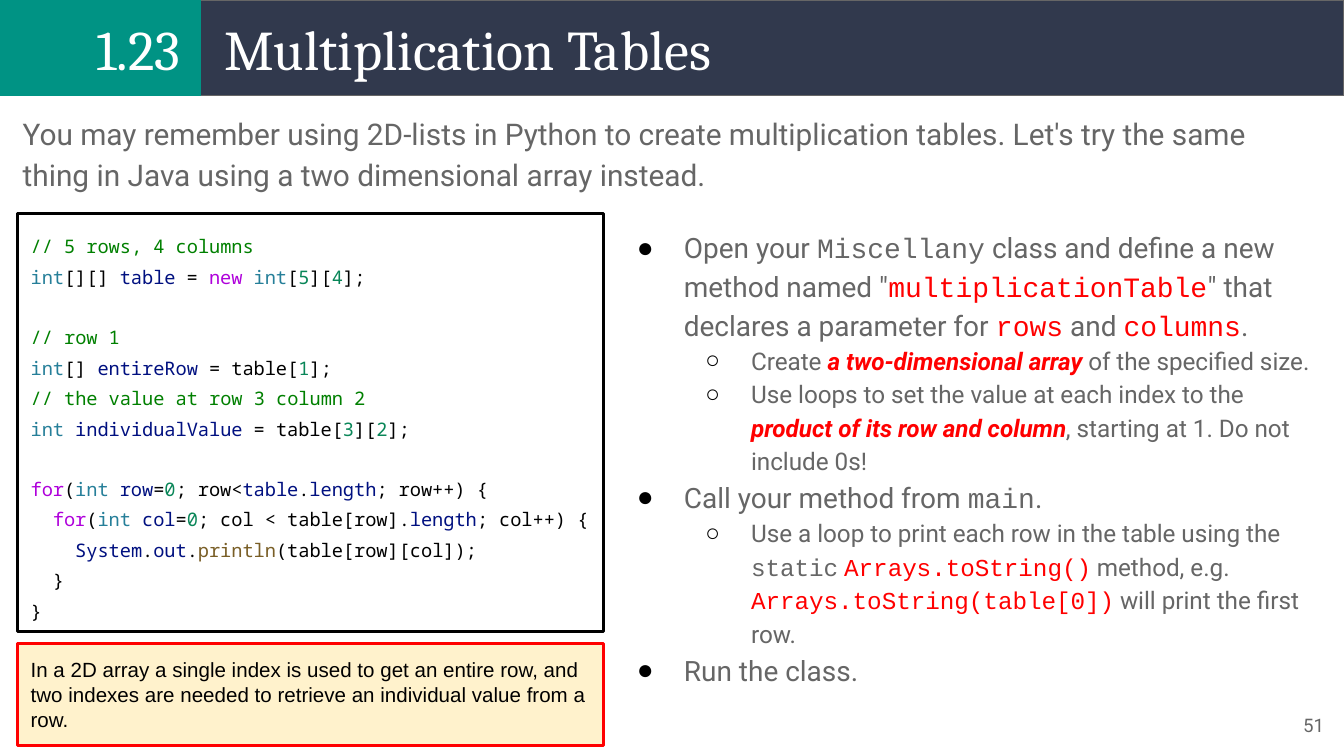
"""Build the Multiplication Tables lesson slide."""
from lxml.etree import SubElement
from pptx import Presentation
from pptx.dml.color import RGBColor
from pptx.enum.shapes import MSO_SHAPE
from pptx.enum.text import MSO_ANCHOR, PP_ALIGN
from pptx.oxml.ns import qn
from pptx.util import Inches, Pt

COLORS = {
    "navy": "31394D", "teal": "009384", "gray": "666666", "white": "FFFFFF",
    "black": "000000", "red": "FF0000", "cream": "FFF2CC", "comment": "008000",
    "type": "267F99", "name": "001080", "keyword": "AF00DB",
    "number": "098658", "function": "795E26",
}


def add_box(left, top, width, height, fill=None, line=None, line_width=0.75, anchor=MSO_ANCHOR.TOP):
    place = [Inches(value) for value in (left, top, width, height)]
    if fill:
        box = slide.shapes.add_shape(MSO_SHAPE.RECTANGLE, *place)
        box.shadow.inherit = False
        box.fill.solid()
        box.fill.fore_color.rgb = RGBColor.from_string(COLORS[fill])
        box.line.color.rgb = RGBColor.from_string(COLORS[line])
        box.line.width = Pt(line_width)
    else:
        box = slide.shapes.add_textbox(*place)
    frame = box.text_frame
    frame.word_wrap = True
    frame.vertical_anchor = anchor
    frame.margin_left = frame.margin_right = Inches(0.1)
    frame.margin_top = frame.margin_bottom = Inches(0.1)
    return frame


def add_run(paragraph, text, size, font, color, emphasis=False):
    run = paragraph.add_run()
    run.text = text
    run.font.size = Pt(size)
    run.font.name = font
    run.font.color.rgb = RGBColor.from_string(COLORS[color])
    run.font.bold = run.font.italic = emphasis


deck = Presentation()
deck.slide_width = Inches(10)
deck.slide_height = Inches(10) * 9 // 16
slide = deck.slides.add_slide(deck.slide_layouts[6])

add_box(1.49, 0, 8.51, 0.71, "navy", "gray")
add_box(0, 0, 1.49, 0.71, "teal", "teal")

STYLES = {
    "plain": ("Roboto", "gray", False),
    "mono": ("Courier New", "gray", False),
    "code": ("Courier New", "red", False),
    "strong": ("Roboto", "red", True),
}
steps = [
    (0, [("Open your ", "plain"), ("Miscellany", "mono"),
         (" class and define a new method named \"", "plain"),
         ("multiplicationTable", "code"),
         ("\" that declares a parameter for ", "plain"),
         ("rows", "code"), (" and ", "plain"), ("columns", "code"), (".", "plain")]),
    (1, [("Create ", "plain"), ("a two-dimensional array", "strong"),
         (" of the specified size.", "plain")]),
    (1, [("Use loops to set the value at each index to the ", "plain"),
         ("product of its row and column", "strong"),
         (", starting at 1. Do not include 0s!", "plain")]),
    (0, [("Call your method from ", "plain"), ("main", "mono"), (".", "plain")]),
    (1, [("Use a loop to print each row in the table using the ", "plain"),
         ("static", "mono"), (" ", "plain"), ("Arrays.toString()", "code"),
         (" method, e.g. ", "plain"), ("Arrays.toString(table[0])", "code"),
         (" will print the first row.", "plain")]),
    (0, [("Run the class.", "plain")]),
]
LEVELS = [(0.5, -0.35, "●", 15), (1, -0.34, "○", 13)]
instructions = add_box(4.49, 1.58, 5.38, 3.88)
for index, (level, runs) in enumerate(steps):
    step = instructions.add_paragraph() if index else instructions.paragraphs[0]
    margin, indent, bullet, size = LEVELS[level]
    properties = step._p.get_or_add_pPr()
    properties.set("marL", str(Inches(margin)))
    properties.set("indent", str(Inches(indent)))
    bullet_color = SubElement(properties, qn("a:buClr"))
    SubElement(bullet_color, qn("a:srgbClr"), val=COLORS["black"])
    SubElement(properties, qn("a:buFont"), typeface="Arial")
    SubElement(properties, qn("a:buChar"), char=bullet)
    step.level = level
    step.line_spacing = 1.15
    for text, style in runs:
        add_run(step, text, size, *STYLES[style])

intro = add_box(0.07, 0.72, 9.79, 0.78).paragraphs[0]
intro.line_spacing = 1.15
add_run(intro, "You may remember using 2D-lists in Python to create multiplication tables. "
        "Let's try the same thing in Java using a two dimensional array instead.",
        16, "Roboto", "gray")

labels = [
    ((9.35, 5.18, 0.6, 0.43), "51", 10, "Roboto", "gray", PP_ALIGN.RIGHT),
    ((1.57, 0, 8.36, 0.71), "Multiplication Tables", 30, "Cambria", "white", PP_ALIGN.LEFT),
    ((0.07, 0, 1.37, 0.71), "1.23", 30, "Cambria", "white", PP_ALIGN.RIGHT),
]
for place, text, size, font, color, alignment in labels:
    label = add_box(*place, anchor=MSO_ANCHOR.MIDDLE).paragraphs[0]
    label.alignment = alignment
    add_run(label, text, size, font, color)

code_blocks = [
    [
        [("// 5 rows, 4 columns", "comment")],
        [("int", "type"), ("[][] ", "black"), ("table", "name"), (" = ", "black"),
         ("new ", "keyword"), ("int", "type"), ("[", "black"), ("5", "number"),
         ("][", "black"), ("4", "number"), ("];", "black")],
    ],
    [
        [("// row 1", "comment")],
        [("int", "type"), ("[] ", "black"), ("entireRow", "name"),
         (" = table[", "black"), ("1", "number"), ("];", "black")],
        [("// the value at row 3 column 2", "comment")],
        [("int ", "type"), ("individualValue", "name"), (" = table[", "black"),
         ("3", "number"), ("][", "black"), ("2", "number"), ("];", "black")],
    ],
    [
        [("for", "keyword"), ("(", "black"), ("int ", "type"), ("row", "name"),
         ("=", "black"), ("0", "number"), ("; row<", "black"), ("table", "name"),
         (".", "black"), ("length", "name"), ("; row++) {", "black")],
        [("  ", "black"), ("for", "keyword"), ("(", "black"), ("int ", "type"),
         ("col", "name"), ("=", "black"), ("0", "number"),
         ("; col < table[row].", "black"), ("length", "name"), ("; col++) {", "black")],
        [("    ", "black"), ("System", "name"), (".", "black"), ("out", "name"),
         (".", "black"), ("println", "function"), ("(table[row][col]);", "black")],
        [("  }", "black")],
        [("}", "black")],
    ],
]
listing = add_box(0.13, 1.59, 4.36, 3.11, "white", "black", 1.5)
for block_index, block in enumerate(code_blocks):
    for line_index, tokens in enumerate(block):
        first = block_index == line_index == 0
        code_line = listing.paragraphs[0] if first else listing.add_paragraph()
        code_line.alignment = PP_ALIGN.LEFT
        code_line.line_spacing = 1.36
        if block_index and not line_index:
            code_line.space_before = Pt(16)
        for text, color in tokens:
            add_run(code_line, text, 10, "Noto Sans Mono", color)

note = add_box(0.13, 4.79, 4.36, 0.76, "cream", "red", 1.5).paragraphs[0]
note.alignment = PP_ALIGN.LEFT
add_run(note, "In a 2D array a single index is used to get an entire row, and two indexes "
        "are needed to retrieve an individual value from a row.", 11, "Arial", "black")

deck.save("out.pptx")
